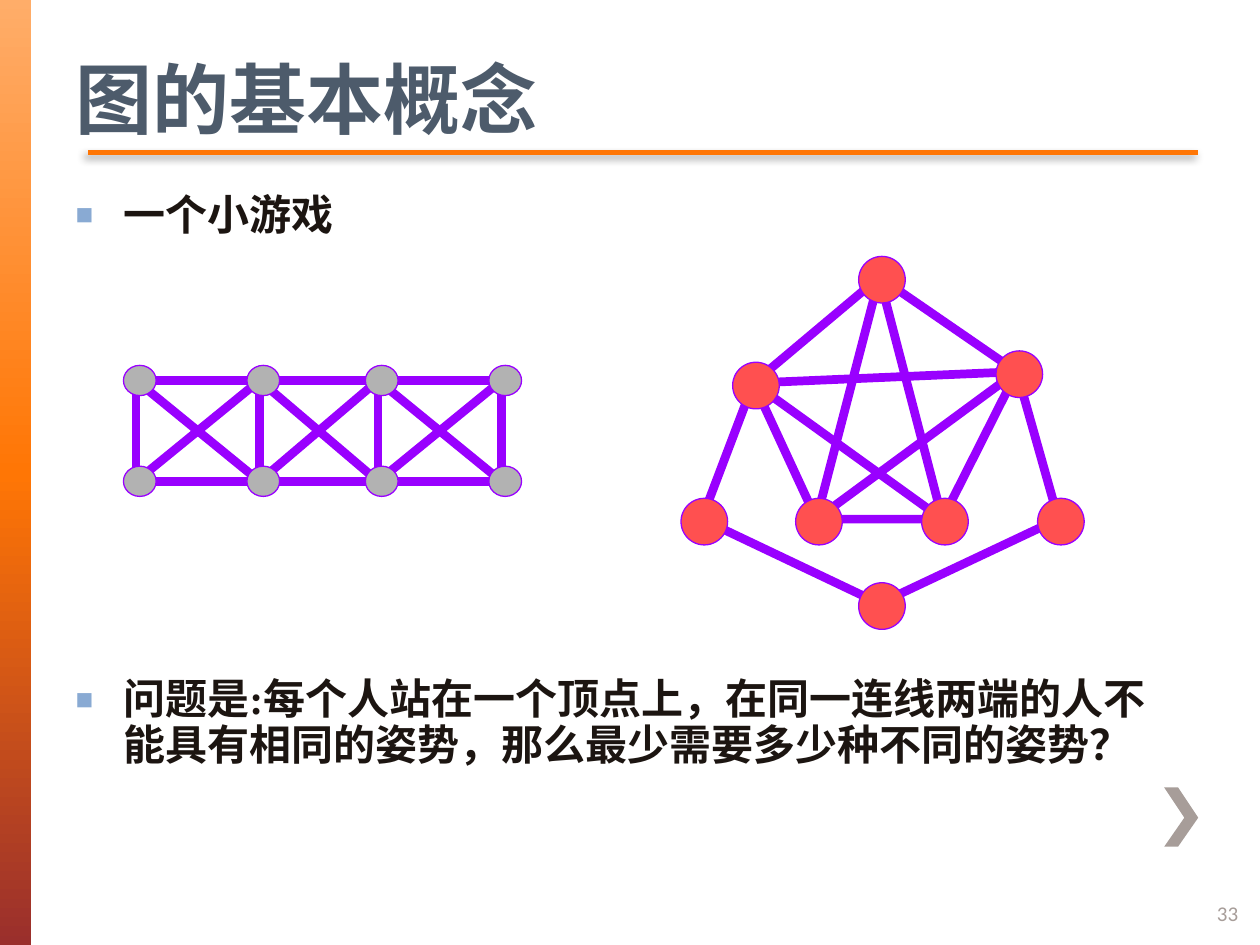
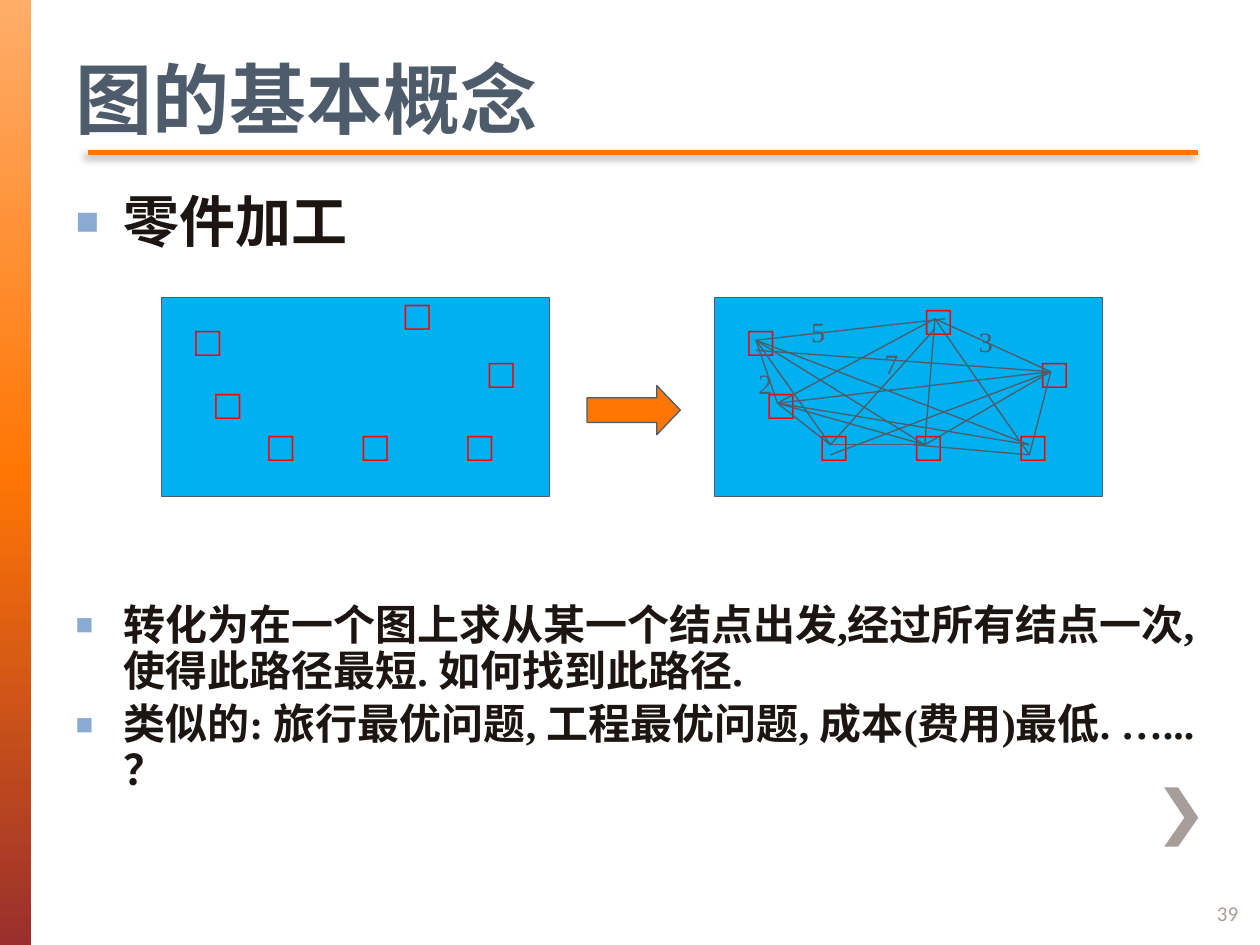
from itertools import combinations
from typing import NamedTuple

import pptx
import pptx.dml.color
import pptx.enum.shapes
import pptx.enum.text
import pptx.oxml
import pptx.oxml.ns
import pptx.util
from lxml import etree

# Grid: the slide is 100 columns by 75 rows of square cells
COLUMNS, ROWS = 100, 75
CELL = pptx.util.Inches(0.1)

# Shared style
SLATE, ORANGE, TAUPE, INK = "4D5B6B", "FF7605", "A79D99", "1C1511"
BULLET_BLUE, VIOLET, GREY, CORAL = "89AAD3", "9900FF", "B2B2B2", "FF5050"
SKY, RED = "00B0F0", "FF0000"
SERIF, SANS = "Times New Roman", "Calibri"
BAND_STOPS = ((0, "FFAD69"), (50, ORANGE), (100, "9A2F2C"))
HEADING = "图的基本概念"

SHAPE = pptx.enum.shapes.MSO_SHAPE
ANCHOR = pptx.enum.text.MSO_ANCHOR
qn = pptx.oxml.ns.qn


class Point(NamedTuple):
    col: float
    row: float


class Box(NamedTuple):
    col: float
    row: float
    cols: float
    rows: float


class Style(NamedTuple):
    font: str
    size: float
    color: str
    bold: bool = False


class Bullet(NamedTuple):
    text: str
    size: float
    gap: float = 0          # points before the paragraph
    right: float = 0        # cells kept free at the right


class Label(NamedTuple):
    text: str
    place: Point


TITLE_STYLE = Style(SANS, 44, SLATE, True)
PAGE_STYLE = Style(SANS, 12, TAUPE)
HOLE_STYLE = Style(SERIF, 24, RED, True)
WEIGHT_STYLE = Style(SERIF, 16, SLATE)


def grid(cells: float) -> int:
    return round(cells * CELL)


def rgb(color: str) -> pptx.dml.color.RGBColor:
    return pptx.dml.color.RGBColor.from_string(color)


def place(shape, box: Box) -> None:
    shape.left, shape.top, shape.width, shape.height = map(grid, box)


def format_runs(paragraph, style: Style) -> None:
    for run in paragraph.runs:
        run.font.name, run.font.size = style.font, pptx.util.Pt(style.size)
        run.font.bold, run.font.color.rgb = style.bold, rgb(style.color)


def paint(shape, fill: str = "", line: str = "", width: float = 0.75) -> None:
    shape.shadow.inherit = False
    if fill:
        shape.fill.solid()
        shape.fill.fore_color.rgb = rgb(fill)
    else:
        shape.fill.background()
    if line:
        shape.line.color.rgb = rgb(line)
        shape.line.width = pptx.util.Pt(width)
    else:
        shape.line.fill.background()


def add_figure(slide, kind, box: Box, fill: str, line: str = ""):
    figure = slide.shapes.add_shape(kind, *map(grid, box))
    paint(figure, fill, line)
    return figure


def add_line(slide, start: Point, end: Point, color: str, width: float):
    line = slide.shapes.add_connector(
        pptx.enum.shapes.MSO_CONNECTOR.STRAIGHT, *map(grid, (*start, *end)))
    line.line.color.rgb, line.line.width = rgb(color), pptx.util.Pt(width)
    etree.SubElement(line._element.spPr, qn("a:effectLst"))
    return line


def add_outline(slide, points: list[Point], closed: bool):
    corners = [(grid(p.col), grid(p.row)) for p in points]
    builder = slide.shapes.build_freeform(*corners[0])
    builder.add_line_segments(corners[1:], close=closed)
    return builder.convert_to_shape()


def add_text(slide, text: str, box: Box, style: Style):
    note = slide.shapes.add_textbox(*map(grid, box))
    frame = note.text_frame
    frame.word_wrap, frame.margin_right = True, 0
    frame.text = text
    format_runs(frame.paragraphs[0], style)
    return note


def add_dot(slide, center: Point, cols: float, rows: float, fill: str) -> None:
    box = Box(center.col - cols / 2, center.row - rows / 2, cols, rows)
    add_figure(slide, SHAPE.OVAL, box, fill, VIOLET)


# Parts of the master: band, next mark, title rule
def fill_gradient(shape) -> None:
    shape.fill.gradient()
    gradient = shape._element.spPr.find(qn("a:gradFill"))
    stops = "".join(f'<a:gs pos="{share * 1000}"><a:srgbClr val="{color}"/></a:gs>'
                    for share, color in BAND_STOPS)
    new = pptx.oxml.parse_xml(
        f'<a:gradFill {pptx.oxml.ns.nsdecls("a")} rotWithShape="1"><a:gsLst>{stops}'
        '</a:gsLst><a:lin ang="5400000" scaled="0"/></a:gradFill>')
    gradient.getparent().replace(gradient, new)


def cast_shadow(line) -> None:
    effects = line._element.spPr.find(qn("a:effectLst"))
    effects.append(pptx.oxml.parse_xml(
        f'<a:outerShdw {pptx.oxml.ns.nsdecls("a")} blurRad="63500" dist="38100" '
        'dir="8100000" algn="tl" rotWithShape="0"><a:srgbClr val="000000">'
        '<a:alpha val="45000"/></a:srgbClr></a:outerShdw>'))


def dress_master(master, slide) -> None:
    band = add_figure(slide, SHAPE.RECTANGLE, Box(0, 0, 2.5, ROWS), ORANGE)
    fill_gradient(band)
    next_mark = add_outline(slide, [
        Point(93.5, 62.5), Point(92.4, 62.5), Point(94, 64.9),
        Point(92.4, 67.2), Point(93.5, 67.2), Point(95.1, 64.9)], True)
    paint(next_mark, TAUPE)
    rule = add_line(slide, Point(7, 12.1), Point(95.1, 12.1), ORANGE, 2.5)
    cast_shadow(rule)
    for offset, part in enumerate((band, next_mark, rule)):
        master.shapes._spTree.insert(2 + offset, part._element)


# Title, list and page number of each slide
def add_bullet_mark(paragraph, right: float) -> None:
    props = paragraph._p.get_or_add_pPr()
    props.set("marL", str(grid(3.8)))
    props.set("indent", str(grid(-3.8)))
    if right:
        props.set("marR", str(grid(right)))
    color = etree.SubElement(props, qn("a:buClr"))
    etree.SubElement(color, qn("a:srgbClr")).set("val", BULLET_BLUE)
    etree.SubElement(props, qn("a:buSzPct")).set("val", "70000")
    etree.SubElement(props, qn("a:buChar")).set("char", "■")


def fill_frame(slide, page: str, bullets: list[Bullet], body_cols: float) -> None:
    title, body = slide.shapes.title, slide.placeholders[1]
    place(title, Box(5, 3.6, 90, 7.9))
    place(body, Box(5, 14.9, body_cols, 28.2))
    for holder in (title, body):
        holder.text_frame.auto_size = pptx.enum.text.MSO_AUTO_SIZE.NONE
        holder.text_frame.vertical_anchor = ANCHOR.TOP
    title.text_frame.text = HEADING
    title.text_frame.paragraphs[0].alignment = pptx.enum.text.PP_ALIGN.LEFT
    format_runs(title.text_frame.paragraphs[0], TITLE_STYLE)

    body.text_frame.text = "\n".join(bullet.text for bullet in bullets)
    for paragraph, bullet in zip(body.text_frame.paragraphs, bullets):
        add_bullet_mark(paragraph, bullet.right)
        paragraph.line_spacing = 0.9
        paragraph.space_before = pptx.util.Pt(bullet.gap)
        format_runs(paragraph, Style(SERIF, bullet.size, INK, True))

    number = add_text(slide, page, Box(95.6, 70.5, 4.2, 4), PAGE_STYLE)
    number.text_frame.vertical_anchor = ANCHOR.MIDDLE


# Game slide: ladder of eight vertices
def draw_ladder(slide) -> None:
    posts, top, bottom = (10.8, 20.6, 30, 39.8), 30.2, 38.2
    for post in posts:
        add_line(slide, Point(post, top), Point(post, bottom), VIOLET, 5)
    for left, right in zip(posts, posts[1:]):
        for start in (top, bottom):
            for end in (top, bottom):
                add_line(slide, Point(left, start), Point(right, end), VIOLET, 5)
    for post in posts:
        for row in (top, bottom):
            add_dot(slide, Point(post + 0.3, row), 2.6, 2.4, GREY)


# Game slide: crown of eight vertices
def draw_crown(slide) -> None:
    apex, base = Point(69.8, 22), Point(69.8, 47.9)
    left, right = Point(59.8, 30.4), Point(80.7, 29.5)
    far_left, inner_left, inner_right, far_right = (
        Point(col, 41.2) for col in (55.7, 64.8, 74.8, 84))
    trail = add_outline(slide, [
        far_left, left, inner_left, apex, inner_right, left, right,
        inner_left, inner_right, right, apex, left], False)
    paint(trail, line=VIOLET, width=5)
    for start, end in ((far_right, right), (base, far_left), (far_right, base)):
        add_line(slide, start, end, VIOLET, 5)
    for vertex in (base, apex, far_right, far_left, left, right,
                   inner_right, inner_left):
        add_dot(slide, Point(vertex.col + 0.2, vertex.row + 0.2), 3.7, 3.7, CORAL)


# Machining slide: a plate with seven holes
HOLES = [Point(1.7, 0.9), Point(3.3, 5.9), Point(7.5, 9.2), Point(15, 9.2),
         Point(25, 3.4), Point(23.3, 9.2)]


def draw_plate(slide, left: float, top_hole: Point, turn: float) -> None:
    top = 23.6
    add_figure(slide, SHAPE.RECTANGLE, Box(left, top, 30.8, 15.8), SKY, SLATE)
    for hole in (*HOLES, top_hole):
        box = Box(left + hole.col, top + hole.row, 3.4, 5)
        mark = add_text(slide, "□", box, HOLE_STYLE)
        mark.rotation = turn if hole == top_hole else 0


# Machining slide: distances between the holes
NODES = {"a": Point(60, 27), "b": Point(61.7, 32), "c": Point(65.9, 35.3),
         "d": Point(73.4, 35.3), "e": Point(81.7, 36.1), "f": Point(83.4, 29.5),
         "g": Point(74.2, 25.3)}
UNLINKED = ("c", "e")
# Shifts of start and end where a line misses its node
NUDGES = {("a", "g"): (0, 0, 0.8, 0), ("d", "e"): (-0.9, 0, 0, 0),
          ("a", "f"): (0, 0.8, 0, 0), ("c", "g"): (0, 0, 0, 0.8),
          ("a", "e"): (0, 0, 0, -0.8), ("b", "e"): (0, 0, 0, -0.8),
          ("c", "f"): (0, 0.8, 0, 0)}
DISTANCES = [Label("5", Point(63.4, 24.5)), Label("3", Point(76.7, 25.3)),
             Label("7", Point(69.2, 27)), Label("2", Point(59.2, 28.6))]


def draw_distances(slide) -> None:
    for pair in combinations(NODES, 2):
        if pair == UNLINKED:
            continue
        start, end = (NODES[name] for name in pair)
        dx1, dy1, dx2, dy2 = NUDGES.get(pair, (0, 0, 0, 0))
        add_line(slide, Point(start.col + dx1, start.row + dy1),
                 Point(end.col + dx2, end.row + dy2), SLATE, 0.75)
    for label in DISTANCES:
        add_text(slide, label.text, Box(*label.place, 3.3, 3.7), WEIGHT_STYLE)


def main() -> None:
    deck = pptx.Presentation()
    deck.slide_width, deck.slide_height = grid(COLUMNS), grid(ROWS)
    layout = deck.slide_layouts[1]

    game = deck.slides.add_slide(layout)
    dress_master(deck.slide_master, game)
    fill_frame(game, "33", [
        Bullet("一个小游戏", 24),
        Bullet("问题是:每个人站在一个顶点上，在同一连线两端的人不能具有相同的姿势，"
               "那么最少需要多少种不同的姿势？", 24, 251)], 90)
    draw_ladder(game)
    draw_crown(game)

    machining = deck.slides.add_slide(layout)
    fill_frame(machining, "39", [
        Bullet("零件加工", 32),
        Bullet("转化为在一个图上求从某一个结点出发,经过所有结点一次, "
               "使得此路径最短. 如何找到此路径.", 24, 200),
        Bullet("类似的: 旅行最优问题, 工程最优问题, 成本(费用)最低. …... ？",
               24, 4.8, 2)], 93.2)
    draw_plate(machining, 12.8, Point(18.3, -0.6), 270)
    draw_plate(machining, 56.7, Point(15.8, -0.8), 0)
    draw_distances(machining)
    arrow = add_figure(machining, SHAPE.RIGHT_ARROW, Box(46.6, 30.6, 7.4, 3.9),
                       ORANGE, SLATE)
    arrow.adjustments[1] = 0.48

    deck.save("out.pptx")


if __name__ == "__main__":
    main()
